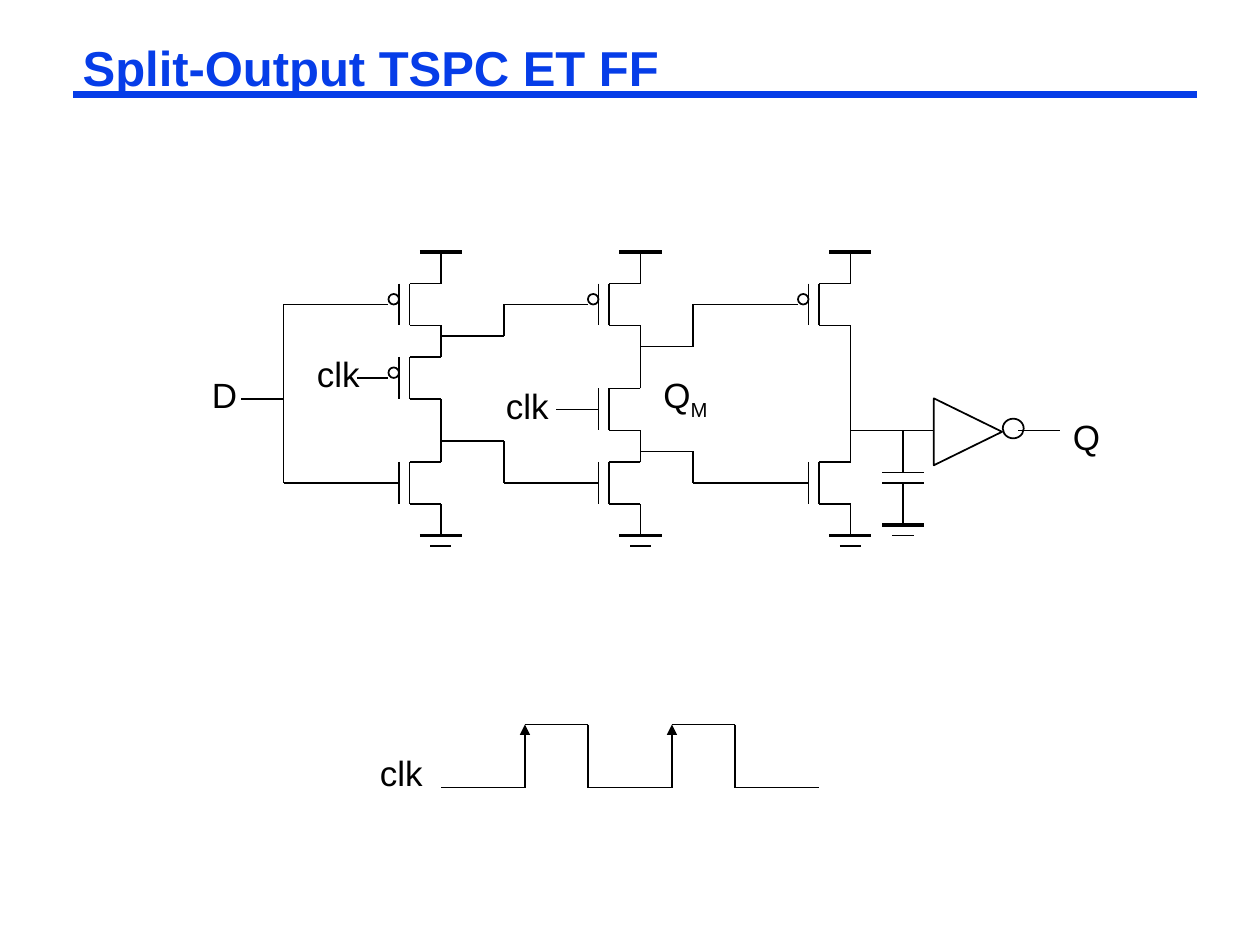
"""Build the Split-Output TSPC edge-triggered flip-flop slide."""
from itertools import pairwise

from lxml.etree import SubElement
from pptx import Presentation
from pptx.dml.color import RGBColor
from pptx.enum.shapes import MSO_CONNECTOR, MSO_SHAPE
from pptx.enum.text import MSO_ANCHOR, PP_ALIGN
from pptx.oxml.ns import qn
from pptx.util import Pt

PX = 9525
BLACK, BLUE = "000000", "063DE8"
rgb = RGBColor.from_string


def add_wire(*points, width=1, color=BLACK, arrow_up=False):
    for (x1, y1), (x2, y2) in pairwise(points):
        c = s.shapes.add_connector(MSO_CONNECTOR.STRAIGHT, x1 * PX, y1 * PX, x2 * PX, y2 * PX)
        c.line.color.rgb = rgb(color)
        c.line.width = Pt(width)
        if arrow_up and y2 < y1:
            SubElement(c.line._get_or_add_ln(), qn("a:tailEnd"), type="triangle")
        SubElement(c._element.spPr, qn("a:effectLst"))


def add_run(p, text, size=20, color=BLACK, bold=False, baseline=None):
    r = p.add_run()
    r.text = text
    r.font.name = "Arial"
    r.font.size = Pt(size)
    r.font.bold = bold
    r.font.color.rgb = rgb(color)
    if baseline:
        r.font._element.set("baseline", str(baseline))


prs = Presentation()
prs.slide_width, prs.slide_height = 960 * PX, 720 * PX
s = prs.slides.add_slide(prs.slide_layouts[5])

add_wire((56, 72), (912, 72), width=4.5, color=BLUE)
title = s.shapes.title
title.left, title.top, title.width, title.height = 56 * PX, 32 * PX, 856 * PX, 44 * PX
tf = title.text_frame
tf.margin_left = tf.margin_right = 7 * PX
tf.margin_top = tf.margin_bottom = 3 * PX
tf.vertical_anchor = MSO_ANCHOR.TOP
p = tf.paragraphs[0]
p.alignment = PP_ALIGN.LEFT
p.line_spacing = 0.87
add_run(p, "Split-Output TSPC ET FF", size=28, color=BLUE, bold=True)

SUPPLY, GROUND, CHANNEL = 192, 408, 32
stages = [
    (336, [("p", 216), ("p", 272), ("n", 352)]),
    (488, [("p", 216), ("n", 296), ("n", 352)]),
    (648, [("p", 216), ("n", 352)]),
]
outlines = [
    (MSO_SHAPE.ISOSCELES_TRIANGLE, 712, 303, 51, 52, 90),
    (MSO_SHAPE.OVAL, 764, 319, 16, 15, 0),
]
for x, transistors in stages:
    add_wire((x - 16, SUPPLY), (x + 16, SUPPLY), width=2.25)
    node = SUPPLY
    for kind, y in transistors:
        bottom = y + CHANNEL
        add_wire((x, node), (x, y), (x - 24, y), (x - 24, bottom), (x, bottom))
        add_wire((x - 32, y), (x - 32, bottom))
        gate = x - 32
        if kind == "p":
            gate -= 8
            outlines.append((MSO_SHAPE.OVAL, gate, y + 8, 8, 8, 0))
        add_wire((x - 64, y + 16), (gate, y + 16))
        node = bottom
    add_wire((x, node), (x, GROUND))

for x, y in [(336, GROUND), (488, GROUND), (648, GROUND), (688, 400)]:
    add_wire((x - 16, y), (x + 16, y), width=2.25)
    add_wire((x - 8, y + 8), (x + 8, y + 8))

wires = [
    [(184, 304), (216, 304)],
    [(272, 232), (216, 232), (216, 368), (272, 368)],
    [(336, 256), (384, 256), (384, 232), (424, 232)],
    [(336, 336), (384, 336), (384, 368), (424, 368)],
    [(488, 264), (528, 264), (528, 232), (584, 232)],
    [(488, 344), (528, 344), (528, 368), (584, 368)],
    [(648, 328), (712, 328)],
    [(776, 328), (808, 328)],
    [(688, 328), (688, 360)],
    [(672, 360), (704, 360)],
    [(672, 368), (704, 368)],
    [(688, 368), (688, 400)],
]
for points in wires:
    add_wire(*points)

for shape, x, y, w, h, angle in outlines:
    sp = s.shapes.add_shape(shape, x * PX, y * PX, w * PX, h * PX)
    sp.rotation = angle
    sp.shadow.inherit = False
    sp.fill.background()
    sp.line.color.rgb = rgb(BLACK)
    sp.line.width = Pt(1)

LOW, HIGH = 600, 552
clock = [(336, LOW)]
for rise in (400, 512):
    fall = rise + 48
    clock += [(rise, LOW), (rise, HIGH), (fall, HIGH), (fall, LOW)]
add_wire(*clock, (624, LOW), arrow_up=True)

labels = [
    ("D", "", 152, 280, 38),
    ("clk", "", 232, 264, 52),
    ("clk", "", 376, 288, 52),
    ("Q", "M", 496, 280, 55),
    ("Q", "", 808, 312, 40),
    ("clk", "", 280, 568, 52),
]
for text, subscript, x, y, w in labels:
    tf = s.shapes.add_textbox(x * PX, y * PX, w * PX, 41 * PX).text_frame
    tf.word_wrap = False
    p = tf.paragraphs[0]
    add_run(p, text)
    if subscript:
        add_run(p, subscript, baseline=-25000)

prs.save("out.pptx")
